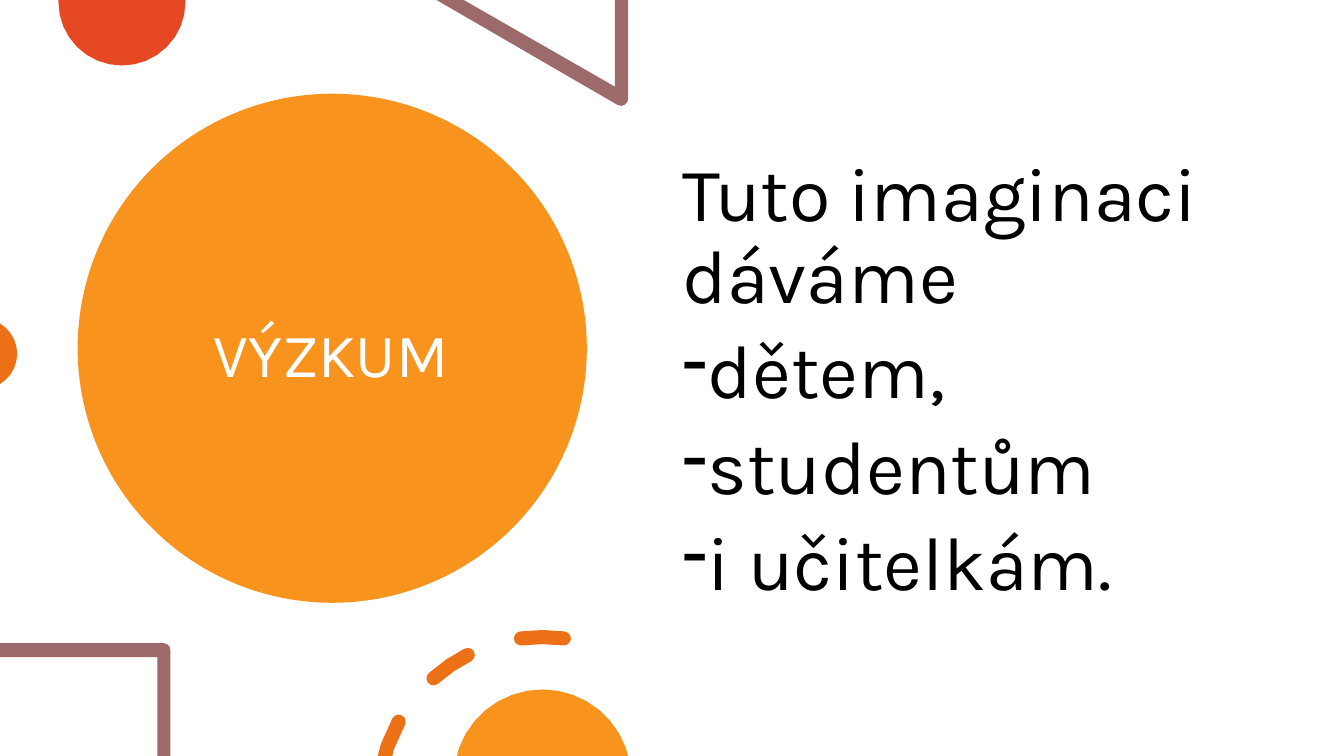
from dataclasses import dataclass
from math import cos, radians, sin

from pptx import Presentation
from pptx.dml.color import RGBColor
from pptx.enum.shapes import MSO_SHAPE as Shape
from pptx.enum.text import MSO_ANCHOR as Anchor
from pptx.oxml.xmlchemy import OxmlElement as Element
from pptx.util import Inches, Pt

AMBER = RGBColor(0xF8, 0x93, 0x1D)
RED = RGBColor(0xE6, 0x48, 0x23)
MAUVE = RGBColor(0x9C, 0x6A, 0x6A)
ORANGE = RGBColor(0xEC, 0x70, 0x16)
WHITE = RGBColor(0xFF, 0xFF, 0xFF)
BLACK = RGBColor(0, 0, 0)

Point = tuple[float, float]
Ring = list[Point]


@dataclass
class Form:
    color: RGBColor
    rings: list[Ring]


@dataclass
class Label:
    box: tuple[float, float, float, float]
    lines: list[str]
    size: int
    color: RGBColor
    frame: dict


def arc(x: float, y: float, r: float, start: float, end: float, steps: int) -> Ring:
    """Points along a circle, in degrees clockwise from the right."""
    turns = [radians(start + (end - start) * i / steps) for i in range(steps + 1)]
    return [(x + r * cos(t), y + r * sin(t)) for t in turns]


def dash(start: float, end: float) -> Ring:
    """A round-ended piece of the dashed circle."""
    x, y, r, half = 5.38, 7.95, 1.63, 0.07

    def cap(turn: float, first: float) -> Ring:
        mid = radians(turn)
        ring = arc(x + r * cos(mid), y + r * sin(mid), half, first, first + 180, 6)
        return ring[1:-1]

    ring = arc(x, y, r + half, start, end, 2) + cap(end, end)
    return ring + arc(x, y, r - half, end, start, 2) + cap(start, start + 180)


def cut(ring: Ring) -> Ring:
    """Trim a ring at the bottom edge of the slide."""
    edge, kept = 7.5, []
    for (ax, ay), (bx, by) in zip(ring, ring[1:] + ring[:1]):
        if ay <= edge:
            kept.append((ax, ay))
        if (ay <= edge) != (by <= edge):
            kept.append((ax + (bx - ax) * (edge - ay) / (by - ay), edge))
    return kept


def paint(shape, color: RGBColor) -> None:
    shape.shadow.inherit = False
    shape.fill.solid()
    shape.fill.fore_color.rgb = color
    shape.line.fill.background()


def draw(shapes, form: Form) -> None:
    first, *rest = [[(Inches(x), Inches(y)) for x, y in ring] for ring in form.rings]
    pen = shapes.build_freeform(*first[0])
    pen.add_line_segments(first[1:], close=True)
    for ring in rest:
        pen.move_to(*ring[0])
        pen.add_line_segments(ring[1:], close=True)
    paint(pen.convert_to_shape(), form.color)


def bullet(para) -> None:
    props = para._p.get_or_add_pPr()
    props.set("marL", str(Inches(0.25)))
    props.set("indent", str(-Inches(0.25)))
    mark = Element("a:buChar")
    mark.set("char", "-")
    props.append(Element("a:buFontTx"))
    props.append(mark)


def write(shapes, label: Label) -> None:
    frame = shapes.add_textbox(*map(Inches, label.box)).text_frame
    for name, value in label.frame.items():
        setattr(frame, name, value)
    for i, line in enumerate(label.lines):
        para = frame.add_paragraph() if i else frame.paragraphs[0]
        para.line_spacing = 0.9
        if i:
            para.space_before = Pt(10)
            bullet(para)
        run = para.add_run()
        run.text = line
        for name, value in {"name": "Karla", "size": Pt(label.size)}.items():
            setattr(run.font, name, value)
        run.font.color.rgb = label.color


FORMS = [
    Form(RED, [[(1.84, 0), *arc(1.21, 0.02, 0.63, 0, 180, 16), (0.58, 0)]]),
    Form(MAUVE, [[(6.23, 0), (6.1, 0), (6.1, 0.86), (4.6, 0), (4.33, 0),
                  *arc(6.16, 0.98, 0.07, 120, 0, 4)]]),
    Form(ORANGE, [arc(-0.18, 3.51, 0.35, -59, 59, 10)]),
    Form(MAUVE, [[(0, 6.38), *arc(1.62, 6.45, 0.07, 270, 360, 3), (1.69, 7.5),
                  (1.56, 7.5), (1.56, 6.52), (0, 6.52)]]),
    Form(ORANGE, [cut(dash(*ends)) for ends in ((190, 209), (228.5, 243), (262.5, 277.5))]),
    Form(AMBER, [cut(arc(5.38, 7.72, 0.88, 180, 360, 18))]),
]

LABELS = [
    Label((2.02, 1.64, 2.9, 3.82), ["VÝZKUM"], 44, WHITE,
          {"word_wrap": True, "vertical_anchor": Anchor.MIDDLE}),
    Label((6.67, 0.9, 5.75, 5.35),
          ["Tuto imaginaci dáváme", "dětem,", "studentům", "i učitelkám."], 54, BLACK,
          {"word_wrap": True, "vertical_anchor": Anchor.TOP, "margin_top": Inches(0.65)}),
]


def main() -> None:
    deck = Presentation()
    deck.slide_width, deck.slide_height = Inches(13.33), Inches(7.5)
    shapes = deck.slides.add_slide(deck.slide_layouts[6]).shapes
    disc = shapes.add_shape(Shape.OVAL, *map(Inches, (0.77, 0.93, 5.05, 5.05)))
    paint(disc, AMBER)
    for form in FORMS:
        draw(shapes, form)
    for label in LABELS:
        write(shapes, label)
    deck.save("out.pptx")


if __name__ == "__main__":
    main()
